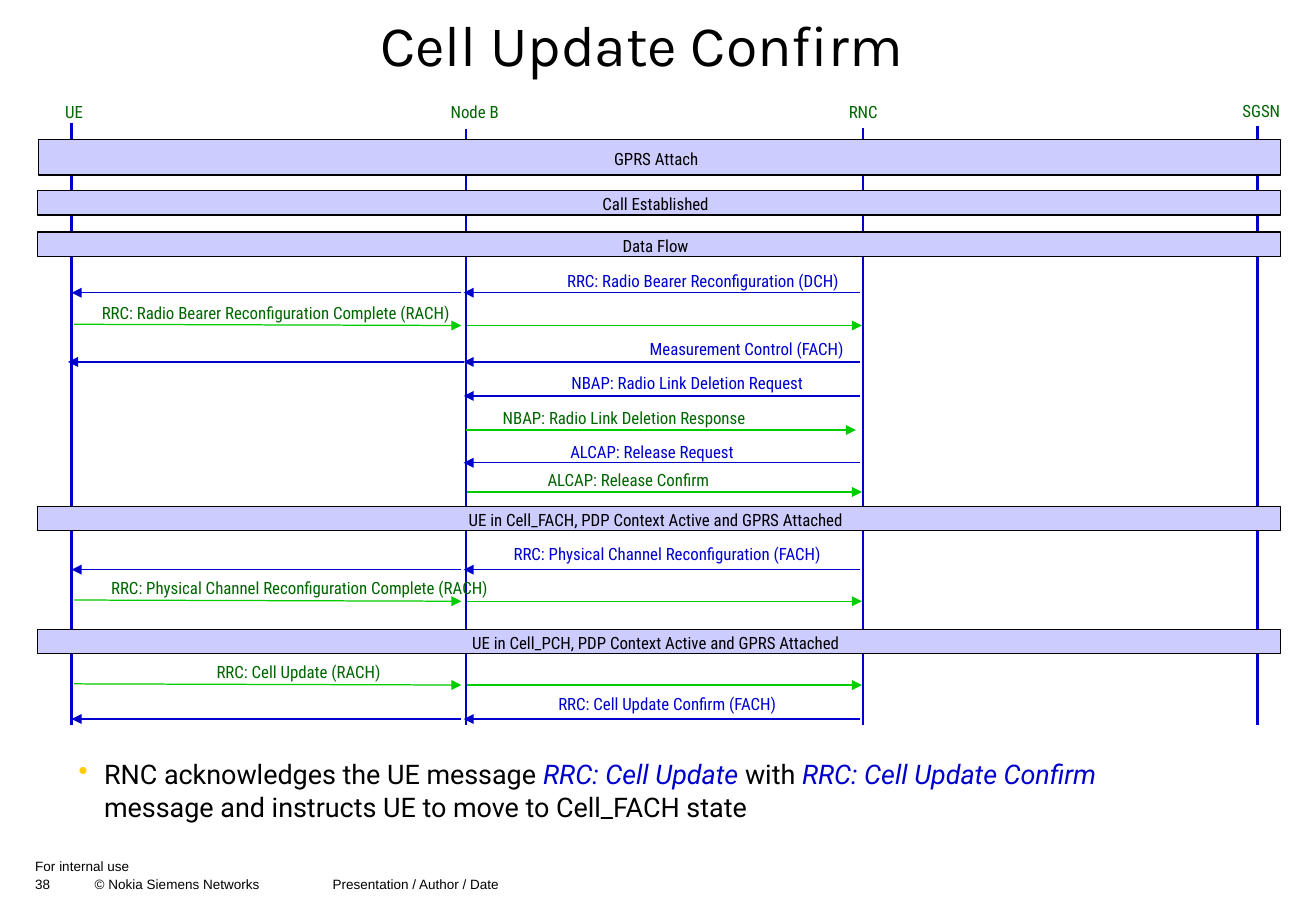
"""Build the Cell Update Confirm signalling slide."""
import lxml.etree
import pptx
import pptx.dml.color
import pptx.enum.shapes
import pptx.enum.text
import pptx.oxml.ns
import pptx.util

RGBColor = pptx.dml.color.RGBColor
ALIGN = pptx.enum.text.PP_ALIGN
ANCHOR = pptx.enum.text.MSO_ANCHOR

EMU_PER_PX = 9144
BLACK = RGBColor(0x00, 0x00, 0x00)
BLUE = RGBColor(0x00, 0x00, 0xCC)
LIGHT_GREEN = RGBColor(0x00, 0xCC, 0x00)
DARK_GREEN = RGBColor(0x00, 0x66, 0x00)
LAVENDER = RGBColor(0xCC, 0xCC, 0xFF)
YELLOW = RGBColor(0xFF, 0xCC, 0x00)

LABEL_HEIGHT = 27
LIFELINE_BOTTOM = 597
BAR_RIGHT = 1055
RNC_TO_NODE_B = (708, 382, 0)
NODE_B_TO_UE = (380, 59, 0)
UE_TO_NODE_B = (61, 380, 1)
NODE_B_TO_RNC = (385, 710, 0)
DOWNLINK = (RNC_TO_NODE_B, NODE_B_TO_UE)
UPLINK = (UE_TO_NODE_B, NODE_B_TO_RNC)

# name, line x, line top, label left, label top, label width
NODES = [
    ("UE", 59, 101, 42, 79, 38),
    ("Node B", 384, 106, 357, 79, 68),
    ("RNC", 711, 105, 687, 79, 48),
    ("SGSN", 1036, 104, 1011, 78, 56),
]
# text, left, top, height
BARS = [
    ("GPRS Attach", 32, 115, 29),
    ("Call Established", 31, 157, 20),
    ("Data Flow", 31, 191, 20),
    ("UE in Cell_FACH, PDP Context Active and GPRS Attached", 31, 417, 20),
    ("UE in Cell_PCH, PDP Context Active and GPRS Attached", 31, 518, 20),
]
# text, label left, label top, label width, arrow y, hops as (start x, end x, drop)
COMMANDS = [
    ("RRC: Radio Bearer Reconfiguration (DCH)", 436, 218, 286, 241, DOWNLINK),
    ("Measurement Control (FACH)", 510, 274, 210, 298, (RNC_TO_NODE_B, (382, 56, 0))),
    ("NBAP: Radio Link Deletion Request", 443, 302, 246, 326, (RNC_TO_NODE_B,)),
    ("ALCAP: Release Request", 449, 359, 176, 381, (RNC_TO_NODE_B,)),
    ("RRC: Physical Channel Reconfiguration (FACH)", 391, 443, 317, 469, DOWNLINK),
    ("RRC: Cell Update Confirm (FACH)", 434, 566, 231, 592, DOWNLINK),
]
RESPONSES = [
    ("RRC: Radio Bearer Reconfiguration Complete (RACH)", 47, 244, 360, 268, UPLINK),
    ("NBAP: Radio Link Deletion Response", 386, 331, 256, 354, ((384, 705, 0),)),
    ("ALCAP: Release Confirm", 430, 382, 175, 405, (NODE_B_TO_RNC,)),
    ("RRC: Physical Channel Reconfiguration Complete (RACH)", 54, 471, 385, 495, UPLINK),
    ("RRC: Cell Update (RACH)", 158, 540, 176, 564, UPLINK),
]


def px(*lengths):
    """Turn px lengths into EMU."""
    return [pptx.util.Emu(length * EMU_PER_PX) for length in lengths]


def add_element(parent, tag, **attributes):
    """Append a DrawingML element to a parent."""
    element = lxml.etree.SubElement(parent, pptx.oxml.ns.qn(tag))
    for name, value in attributes.items():
        element.set(name, str(value))
    return element


def write_text(shape, runs, size=10, font="Roboto Condensed", color=BLACK,
               align=ALIGN.CENTER, anchor=ANCHOR.TOP, wrap=False, insets=(10, 5, 10, 5),
               line_spacing=None, bullet_color=None, tabs=()):
    """Fill a shape with one paragraph; runs is a string or (text, emphasised) pairs."""
    frame = shape.text_frame
    frame.word_wrap = wrap
    frame.vertical_anchor = anchor
    (frame.margin_left, frame.margin_top,
     frame.margin_right, frame.margin_bottom) = px(*insets)
    paragraph = frame.paragraphs[0]
    paragraph.alignment = align
    if line_spacing:
        paragraph.line_spacing = line_spacing
    properties = paragraph._p.get_or_add_pPr()
    if bullet_color is not None:
        indent, = px(21)
        properties.set("marL", str(indent))
        properties.set("indent", str(-indent))
        add_element(add_element(properties, "a:buClr"), "a:srgbClr", val=bullet_color)
        add_element(properties, "a:buChar", char="•")
    if tabs:
        tab_list = add_element(properties, "a:tabLst")
        for position in px(*tabs):
            add_element(tab_list, "a:tab", pos=position, algn="l")
    if isinstance(runs, str):
        runs = [(runs, False)]
    for text, emphasised in runs:
        run = paragraph.add_run()
        run.text = text
        run.font.name = font
        run.font.size = pptx.util.Pt(size)
        run.font.italic = emphasised
        run.font.color.rgb = BLUE if emphasised else color


def add_text(slide, runs, left, top, width, height, **text_format):
    """Add a text box."""
    write_text(slide.shapes.add_textbox(*px(left, top, width, height)), runs, **text_format)


def add_line(slide, start_x, start_y, end_x, end_y, color, weight, arrow=False):
    """Add a straight line, with an arrowhead at its end if asked."""
    line = slide.shapes.add_connector(pptx.enum.shapes.MSO_CONNECTOR.STRAIGHT,
                                      *px(start_x, start_y, end_x, end_y))
    line.line.color.rgb = color
    line.line.width = pptx.util.Pt(weight)
    if arrow:
        add_element(line.line._get_or_add_ln(), "a:tailEnd", type="triangle")
    add_element(line._element.spPr, "a:effectLst")


def add_node(slide, name, line_x, line_top, left, top, width):
    """Add a network node's name and lifeline."""
    add_line(slide, line_x, line_top, line_x, LIFELINE_BOTTOM, BLUE, 1.5)
    add_text(slide, name, left, top, width, LABEL_HEIGHT, color=DARK_GREEN)


def add_bar(slide, text, left, top, height):
    """Add a state bar across all lifelines."""
    bar = slide.shapes.add_shape(pptx.enum.shapes.MSO_SHAPE.RECTANGLE,
                                 *px(left, top, BAR_RIGHT - left, height))
    bar.shadow.inherit = False
    bar.fill.solid()
    bar.fill.fore_color.rgb = LAVENDER
    bar.line.color.rgb = BLACK
    bar.line.width = pptx.util.Pt(0.75)
    write_text(bar, text, anchor=ANCHOR.MIDDLE, wrap=True, insets=(0, 2, 6, 0))


def add_message(slide, text, left, top, width, arrow_y, hops, text_color, arrow_color):
    """Add a message label and one arrow for each hop."""
    add_text(slide, text, left, top, width, LABEL_HEIGHT, color=text_color)
    for start_x, end_x, drop in hops:
        add_line(slide, start_x, arrow_y - drop, end_x, arrow_y, arrow_color, 0.75, arrow=True)


def main():
    """Build and save the slide."""
    presentation = pptx.Presentation()
    presentation.slide_width, presentation.slide_height = px(1084, 750)
    slide = presentation.slides.add_slide(presentation.slide_layouts[6])

    footer = dict(size=8, font="Arial", align=ALIGN.LEFT, wrap=True, insets=(0, 0, 0, 0))
    add_text(slide, "38\t© Nokia Siemens Networks\tPresentation / Author / Date",
             29, 721, 811, 17, tabs=(49, 245), **footer)
    add_text(slide, "For internal use", 29, 706, 361, 15, **footer)
    add_text(slide, "Cell Update Confirm", 73, 8, 911, 63, size=34, font="Karla",
             anchor=ANCHOR.MIDDLE, wrap=True, line_spacing=0.9)

    for node in NODES:
        add_node(slide, *node)
    for bar in BARS:
        add_bar(slide, *bar)
    for message in COMMANDS:
        add_message(slide, *message, BLUE, BLUE)
    for message in RESPONSES:
        add_message(slide, *message, DARK_GREEN, LIGHT_GREEN)

    explanation = [
        ("RNC acknowledges the UE message ", False),
        ("RRC: Cell Update ", True),
        ("with ", False),
        ("RRC: Cell Update Confirm ", True),
        ("message and instructs UE to move to Cell_FACH state", False),
    ]
    add_text(slide, explanation, 55, 619, 937, 64, size=16, font="Roboto",
             align=ALIGN.LEFT, wrap=True, bullet_color=YELLOW)
    presentation.save("out.pptx")


if __name__ == "__main__":
    main()
